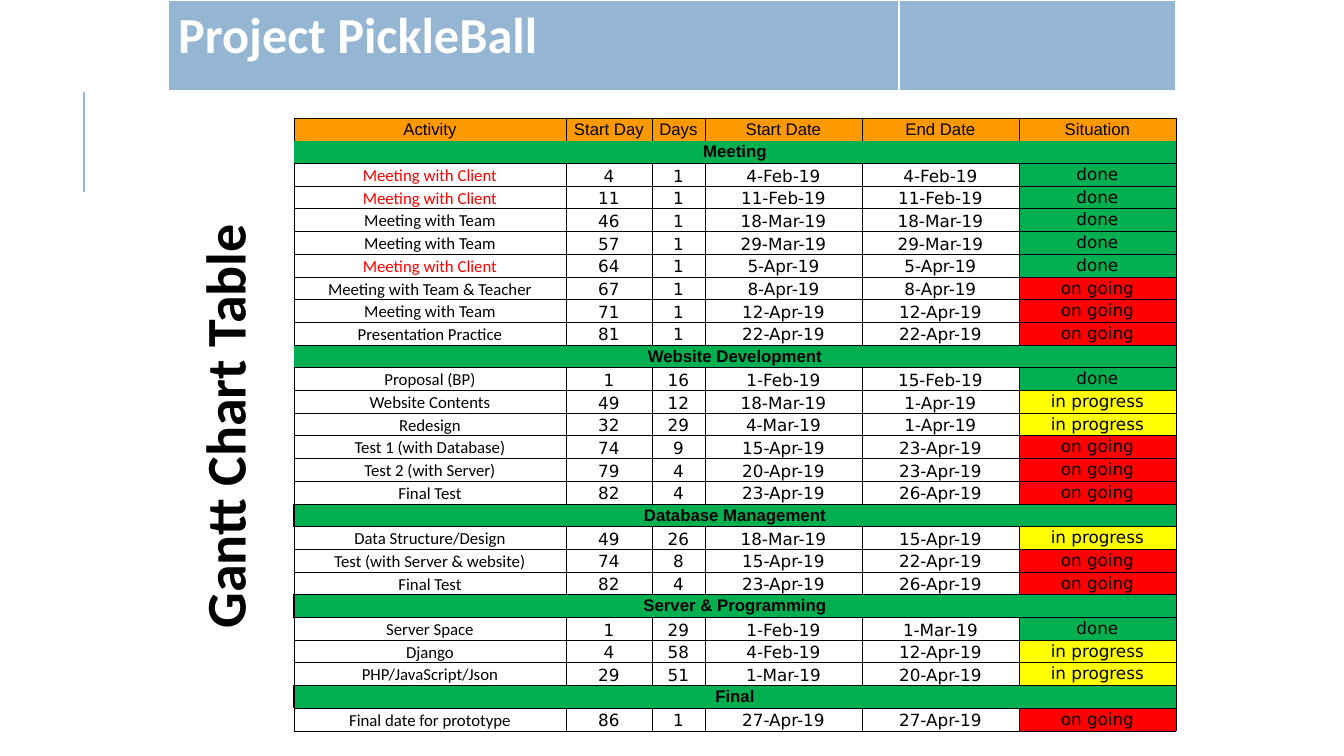
from lxml import etree
from pptx import Presentation
from pptx.dml.color import RGBColor
from pptx.enum.shapes import MSO_CONNECTOR
from pptx.enum.text import MSO_ANCHOR, MSO_AUTO_SIZE, PP_ALIGN
from pptx.oxml.ns import qn
from pptx.util import Emu, Pt

CENTER, LEFT = PP_ALIGN.CENTER, PP_ALIGN.LEFT
TOP, MIDDLE, BOTTOM = MSO_ANCHOR.TOP, MSO_ANCHOR.MIDDLE, MSO_ANCHOR.BOTTOM
STRAIGHT = MSO_CONNECTOR.STRAIGHT
BLACK = RGBColor(0, 0, 0)
WHITE = RGBColor(255, 255, 255)
BLUE = RGBColor(0x94, 0xB6, 0xD2)
ORANGE = RGBColor(0xFF, 0x99, 0x00)
GREEN = RGBColor(0x00, 0xB0, 0x50)
RED = RGBColor(0xFF, 0, 0)
YELLOW = RGBColor(0xFF, 0xFF, 0)
NO_STYLE = "{2D5ABB26-0587-4C30-8999-92F81FD0307C}"

# Content
BANNER = "Project PickleBall"
TITLE = "Gantt Chart Table"
HEADER = ["Activity", "Start Day", "Days", "Start Date", "End Date", "Situation"]
# section name, its border widths by edge, its activities
SECTIONS = [
    ("Meeting", {"R": 0.5, "B": 0.5}, [
        ("Meeting with Client", "4", "1", "4-Feb-19", "4-Feb-19", "done"),
        ("Meeting with Client", "11", "1", "11-Feb-19", "11-Feb-19", "done"),
        ("Meeting with Team", "46", "1", "18-Mar-19", "18-Mar-19", "done"),
        ("Meeting with Team", "57", "1", "29-Mar-19", "29-Mar-19", "done"),
        ("Meeting with Client", "64", "1", "5-Apr-19", "5-Apr-19", "done"),
        ("Meeting with Team & Teacher", "67", "1", "8-Apr-19", "8-Apr-19", "on going"),
        ("Meeting with Team", "71", "1", "12-Apr-19", "12-Apr-19", "on going"),
        ("Presentation Practice", "81", "1", "22-Apr-19", "22-Apr-19", "on going"),
    ]),
    ("Website Development", {"T": 0.5, "R": 0.5, "B": 0.5}, [
        ("Proposal (BP)", "1", "16", "1-Feb-19", "15-Feb-19", "done"),
        ("Website Contents", "49", "12", "18-Mar-19", "1-Apr-19", "in progress"),
        ("Redesign", "32", "29", "4-Mar-19", "1-Apr-19", "in progress"),
        ("Test 1 (with Database)", "74", "9", "15-Apr-19", "23-Apr-19", "on going"),
        ("Test 2 (with Server)", "79", "4", "20-Apr-19", "23-Apr-19", "on going"),
        ("Final Test", "82", "4", "23-Apr-19", "26-Apr-19", "on going"),
    ]),
    ("Database Management", {"L": 1, "T": 0.5, "R": 0.5}, [
        ("Data Structure/Design", "49", "26", "18-Mar-19", "15-Apr-19", "in progress"),
        ("Test (with Server & website)", "74", "8", "15-Apr-19", "22-Apr-19", "on going"),
        ("Final Test", "82", "4", "23-Apr-19", "26-Apr-19", "on going"),
    ]),
    ("Server & Programming", {"L": 1, "T": 0.5, "R": 0.5}, [
        ("Server Space", "1", "29", "1-Feb-19", "1-Mar-19", "done"),
        ("Django", "4", "58", "4-Feb-19", "12-Apr-19", "in progress"),
        ("PHP/JavaScript/Json", "29", "51", "1-Mar-19", "20-Apr-19", "in progress"),
    ]),
    ("Final", {"L": 1, "T": 0.5, "R": 0.5, "B": 0.5}, [
        ("Final date for prototype", "86", "1", "27-Apr-19", "27-Apr-19", "on going"),
    ]),
]
STATUS_FILL = {"done": GREEN, "in progress": YELLOW, "on going": RED}
HEADER_EDGES = {"L": 0.5, "T": 0.5, "R": 0.5}
GRID_EDGES = {"L": 0.5, "R": 0.5, "T": 0.5, "B": 0.5}
BANNER_EDGES = {"L": 1, "R": 1, "T": 1, "B": 3}

# Layout in px
PAGE = (1344, 756)
BANNER_BOX = (168, 0, 1008, 92)
BANNER_COLUMNS = [731, 277]
TITLE_BOX = (7, 383, 433, 78)
GANTT_BOX = (294, 118, 882, 613)
GANTT_COLUMNS = [272, 86, 53, 157, 157, 157]
SIDE_LINE = (84, 192, 84, 92)


def px(length):
    return Emu(round(length * 914400 / 100.8))


def add_plain_table(page, box, widths, row_count):
    frame = page.shapes.add_table(row_count, len(widths), *map(px, box))
    table = frame.table
    table.first_row = table.horz_banding = False
    table._tbl.tblPr.find(qn("a:tableStyleId")).text = NO_STYLE
    for column, width in zip(table.columns, widths):
        column.width = px(width)
    for row in table.rows:
        row.height = px(box[3] / row_count)
    return table


def style_text(para, font_name, size, color, bold):
    for span in para.runs:
        span.font.name = font_name
        span.font.size = Pt(size)
        span.font.color.rgb = color
        span.font.bold = bold


def style_cell(cell, fill, edges, edge_color):
    properties = cell._tc.get_or_add_tcPr()
    for side in "LRTB":
        if side in edges:
            line = etree.SubElement(properties, qn("a:ln" + side), w=str(Pt(edges[side])))
            solid = etree.SubElement(line, qn("a:solidFill"))
            etree.SubElement(solid, qn("a:srgbClr"), val=str(edge_color))
    if fill is None:
        cell.fill.background()
    else:
        cell.fill.solid()
        cell.fill.fore_color.rgb = fill


def fill_cell(cell, text, font_name, anchor=MIDDLE, color=BLACK, bold=False):
    cell.margin_left = cell.margin_right = cell.margin_top = cell.margin_bottom = 0
    cell.vertical_anchor = anchor
    para = cell.text_frame.paragraphs[0]
    para.text = text
    para.alignment = CENTER
    style_text(para, font_name, 12, color, bold)


def fill_activity(cells, activity, top_open):
    last = len(activity) - 1
    for index, (cell, text) in enumerate(zip(cells, activity)):
        edges = dict(GRID_EDGES)
        if top_open and index < 3:
            del edges["T"]
        style_cell(cell, STATUS_FILL[text] if index == last else None, edges, BLACK)
        color = RED if text == "Meeting with Client" else BLACK
        fill_cell(cell, text, "Calibri" if index == 0 else "DejaVu Sans",
                  MIDDLE if index == last else BOTTOM, color)


def main():
    deck = Presentation()
    deck.slide_width, deck.slide_height = map(px, PAGE)
    page = deck.slides.add_slide(deck.slide_layouts[5])

    # Side line
    side_line = page.shapes.add_connector(STRAIGHT, *map(px, SIDE_LINE))
    side_line.line.color.rgb = BLUE
    side_line.line.width = Pt(1.5)
    etree.SubElement(side_line._element.spPr, qn("a:effectLst"))

    # Banner
    banner = add_plain_table(page, BANNER_BOX, BANNER_COLUMNS, 1)
    for cell in banner.iter_cells():
        style_cell(cell, BLUE, BANNER_EDGES, WHITE)
    banner_para = banner.cell(0, 0).text_frame.paragraphs[0]
    banner_para.text = BANNER
    style_text(banner_para, "Calibri", 36, WHITE, True)

    # Upright title
    title = page.shapes.title
    title.left, title.top, title.width, title.height = map(px, TITLE_BOX)
    title.rotation = 270
    frame = title.text_frame
    frame.text = TITLE
    frame.word_wrap = False
    frame.auto_size = MSO_AUTO_SIZE.SHAPE_TO_FIT_TEXT
    frame.vertical_anchor = TOP
    frame.paragraphs[0].alignment = LEFT
    style_text(frame.paragraphs[0], "Calibri", 40, BLACK, True)

    # Gantt table
    row_count = 1 + sum(1 + len(activities) for _, _, activities in SECTIONS)
    gantt = add_plain_table(page, GANTT_BOX, GANTT_COLUMNS, row_count)
    rows = iter(gantt.rows)
    for cell, text in zip(next(rows).cells, HEADER):
        style_cell(cell, ORANGE, HEADER_EDGES, BLACK)
        fill_cell(cell, text, "Arial")
    for name, edges, activities in SECTIONS:
        cells = list(next(rows).cells)
        for cell in cells:
            style_cell(cell, GREEN, edges, BLACK)
        cells[0].merge(cells[-1])
        fill_cell(cells[0], name, "Arial", bold=True)
        for index, activity in enumerate(activities):
            fill_activity(next(rows).cells, activity, index == 0 and "B" not in edges)

    deck.save("out.pptx")


if __name__ == "__main__":
    main()
